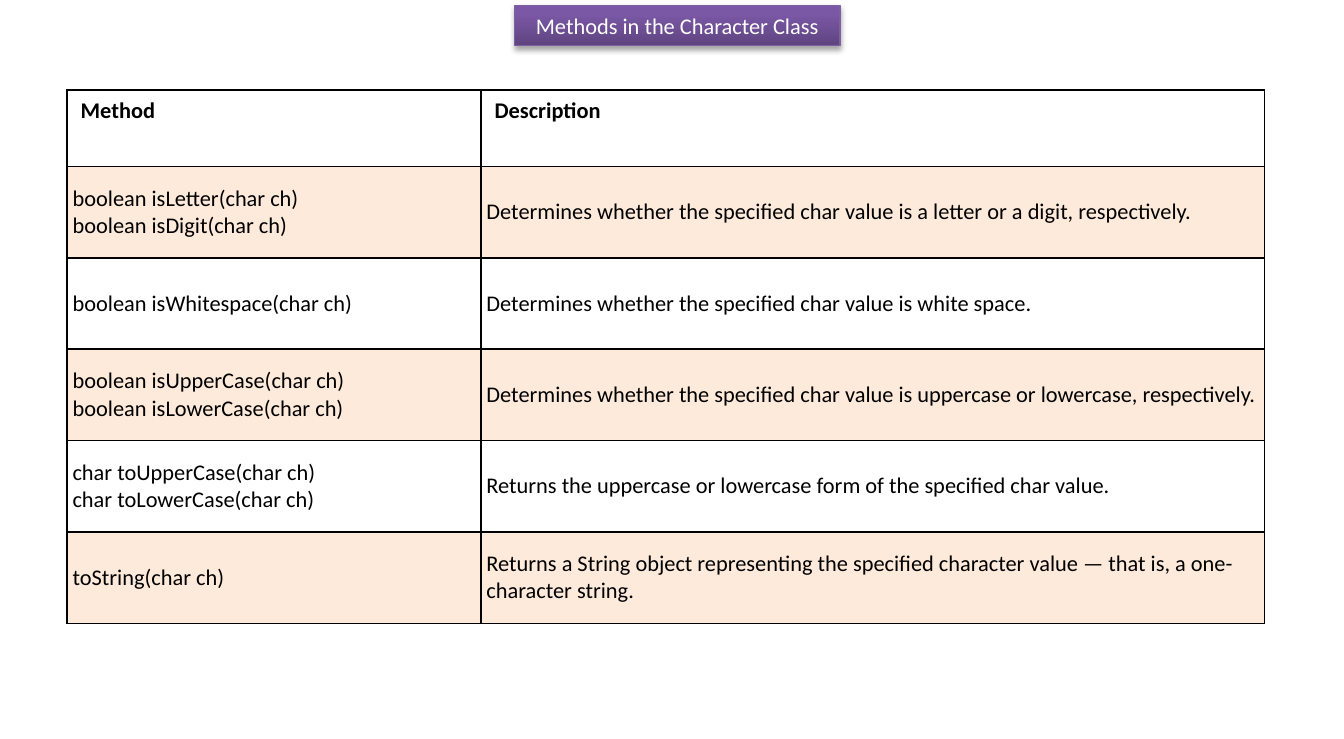
import copy
from dataclasses import dataclass

import lxml.etree
import pptx
import pptx.dml.color
import pptx.enum.dml
import pptx.enum.shapes
import pptx.enum.text
import pptx.oxml
import pptx.oxml.ns
import pptx.util


@dataclass(frozen=True)
class Theme:
    font: str = "Calibri"
    text_size: float = 12
    ink: str = "000000"
    title_ink: str = "FFFFFF"
    title_line: str = "7D60A0"
    title_stops: tuple = ((0, "5F4480"), (0.8, "7B58A6"), (1, "7C57A8"))
    stripe: str = "F79646"
    stripe_alpha: int = 20
    shadow_alpha: int = 35
    title_line_width: float = 0.75
    border_width: float = 1


@dataclass(frozen=True)
class Box:
    left: float
    top: float
    width: float
    height: float

    def share(self, left, top, width, height):
        return Box(self.left + left * self.width, self.top + top * self.height,
                   width * self.width, height * self.height)

    def lengths(self):
        return [pptx.util.Inches(v) for v in (self.left, self.top, self.width, self.height)]


THEME = Theme()
PAGE = Box(0, 0, 10, 5.5)
CELL_INSET = 0.04
COLUMN_SHARES = (3.08 / 8.91, 5.83 / 8.91)
HEADER_SHARE = 0.57 / 3.97
HEADINGS = ("Method", "Description")
METHODS = (
    ("boolean isLetter(char ch)\nboolean isDigit(char ch)",
     "Determines whether the specified char value is a letter or a digit, respectively."),
    ("boolean isWhitespace(char ch)",
     "Determines whether the specified char value is white space."),
    ("boolean isUpperCase(char ch)\nboolean isLowerCase(char ch)",
     "Determines whether the specified char value is uppercase or lowercase, respectively."),
    ("char toUpperCase(char ch)\nchar toLowerCase(char ch)",
     "Returns the uppercase or lowercase form of the specified char value."),
    ("toString(char ch)",
     "Returns a String object representing the specified character value — that is, a one-character string."),
)


def rgb(value):
    return pptx.dml.color.RGBColor.from_string(value)


def xml(tag, body):
    namespace = pptx.oxml.ns.nsdecls("a")
    return pptx.oxml.parse_xml(f"<a:{tag} {namespace}>{body}</a:{tag}>")


def write(paragraph, text, color, bold=False):
    for index, line in enumerate(text.split("\n")):
        if index:
            paragraph.add_line_break()
        run = paragraph.add_run()
        run.text = line
        run.font.name = THEME.font
        run.font.size = pptx.util.Pt(THEME.text_size)
        run.font.bold = bold
        run.font.color.rgb = rgb(color)
        if index:
            run._r.getprevious().append(copy.deepcopy(run._r.rPr))


def add_title(slide, box):
    banner = slide.shapes.add_shape(pptx.enum.shapes.MSO_SHAPE.RECTANGLE, *box.lengths())
    banner.shadow.inherit = False
    banner.fill.gradient()
    banner.fill.gradient_angle = 90
    first_stop = banner.fill.gradient_stops[0]._gs
    first_stop.addnext(copy.deepcopy(first_stop))
    for stop, (position, color) in zip(banner.fill.gradient_stops, THEME.title_stops):
        stop.position = position
        stop.color.rgb = rgb(color)
    banner.line.color.rgb = rgb(THEME.title_line)
    banner.line.width = pptx.util.Pt(THEME.title_line_width)
    effects = banner._element.spPr.find(pptx.oxml.ns.qn("a:effectLst"))
    shadow = lxml.etree.SubElement(
        effects, pptx.oxml.ns.qn("a:outerShdw"), blurRad=str(pptx.util.Pt(3.1)),
        dist=str(pptx.util.Pt(1.8)), dir="5400000", rotWithShape="0")
    shadow.append(xml("srgbClr", f'<a:alpha val="{THEME.shadow_alpha * 1000}"/>'))
    shadow[0].set("val", THEME.ink)
    frame = banner.text_frame
    frame.word_wrap = True
    frame.auto_size = pptx.enum.text.MSO_AUTO_SIZE.SHAPE_TO_FIT_TEXT
    frame.vertical_anchor = pptx.enum.text.MSO_ANCHOR.TOP
    frame.paragraphs[0].alignment = pptx.enum.text.PP_ALIGN.CENTER
    write(frame.paragraphs[0], "Methods in the Character Class", THEME.title_ink)


def style_cell(cell, striped):
    properties = cell._tc.get_or_add_tcPr()
    for side in ("lnL", "lnR", "lnT", "lnB"):
        border = xml(side, f'<a:solidFill><a:srgbClr val="{THEME.ink}"/></a:solidFill>')
        border.set("w", str(pptx.util.Pt(THEME.border_width)))
        properties.append(border)
    if not striped:
        cell.fill.background()
        return
    cell.fill.solid()
    cell.fill.fore_color.rgb = rgb(THEME.stripe)
    color = properties.find(".//" + pptx.oxml.ns.qn("a:solidFill") + "[last()]")
    color = properties.find(pptx.oxml.ns.qn("a:solidFill"))[0]
    color.append(xml("alpha", ""))
    color[0].set("val", str(THEME.stripe_alpha * 1000))


def add_methods_table(slide, box):
    rows = (HEADINGS, *METHODS)
    table = slide.shapes.add_table(len(rows), len(HEADINGS), *box.lengths()).table
    table.first_row = False
    table.horz_banding = False
    for column, share in zip(table.columns, COLUMN_SHARES):
        column.width = pptx.util.Inches(box.width * share)
    body_share = (1 - HEADER_SHARE) / len(METHODS)
    for row_index, texts in enumerate(rows):
        is_header = row_index == 0
        share = HEADER_SHARE if is_header else body_share
        table.rows[row_index].height = pptx.util.Inches(box.height * share)
        for column_index, text in enumerate(texts):
            cell = table.cell(row_index, column_index)
            style_cell(cell, striped=row_index % 2 == 1)
            if not is_header:
                cell.vertical_anchor = pptx.enum.text.MSO_ANCHOR.MIDDLE
                cell.margin_left = cell.margin_right = pptx.util.Inches(CELL_INSET)
                cell.margin_top = cell.margin_bottom = pptx.util.Inches(CELL_INSET)
            write(cell.text_frame.paragraphs[0], text, THEME.ink, bold=is_header)


def main():
    deck = pptx.Presentation()
    deck.slide_width = pptx.util.Inches(PAGE.width)
    deck.slide_height = pptx.util.Inches(PAGE.height)
    slide = deck.slides.add_slide(deck.slide_layouts[6])
    add_title(slide, PAGE.share(0.383, 0.04 / 5.5, 0.242, 0.3 / 5.5))
    add_methods_table(slide, PAGE.share(0.05, 0.67 / 5.5, 0.891, 3.97 / 5.5))
    deck.save("out.pptx")


if __name__ == "__main__":
    main()
